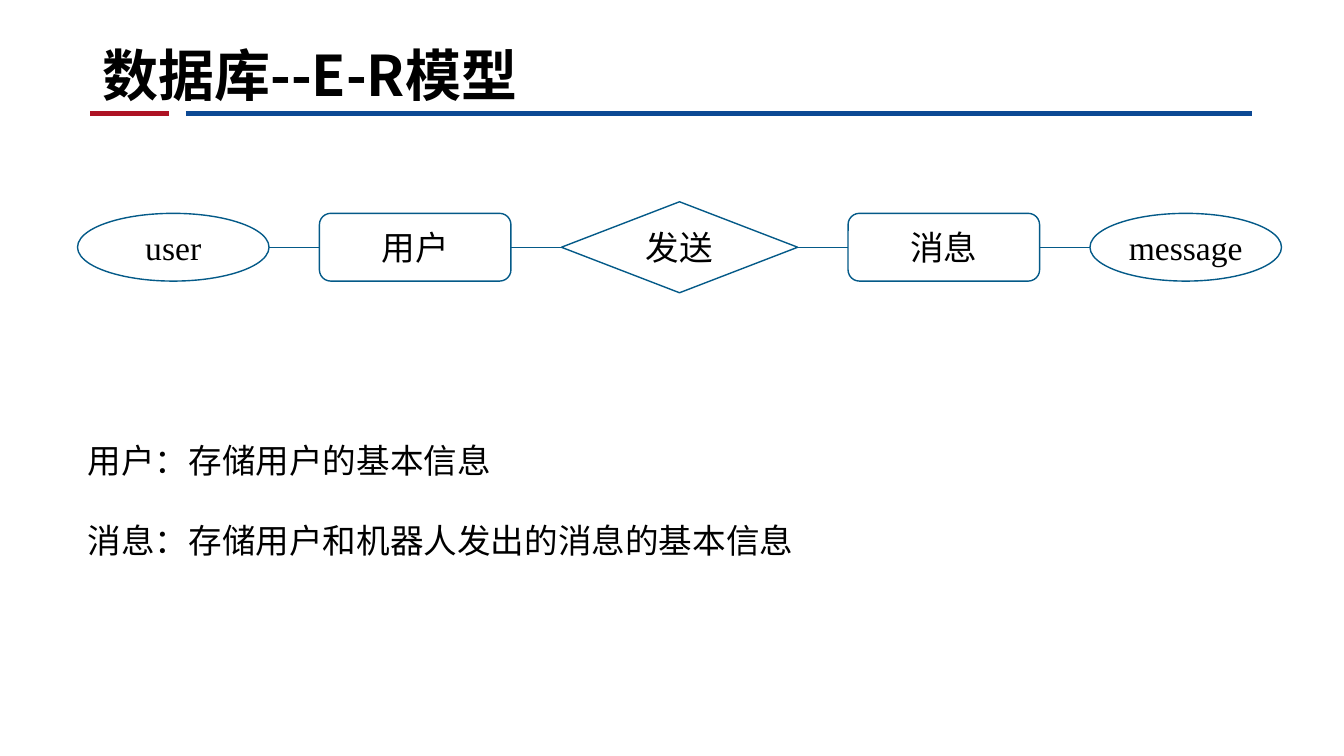
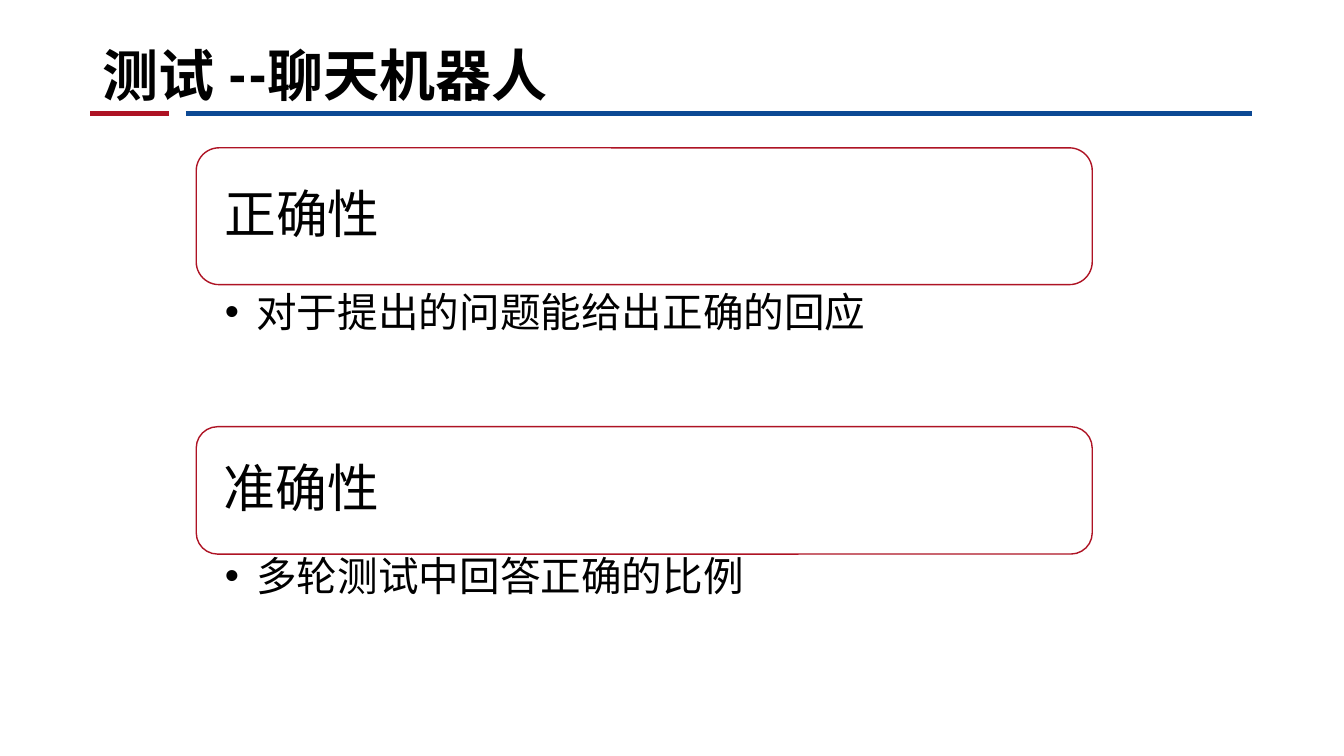
from dataclasses import dataclass
from itertools import pairwise
from typing import Any

from lxml.etree import SubElement
from pptx import Presentation
from pptx.dml.color import RGBColor
from pptx.enum.shapes import MSO_CONNECTOR, MSO_SHAPE
from pptx.enum.text import MSO_ANCHOR, MSO_AUTO_SIZE, PP_ALIGN
from pptx.oxml.ns import qn
from pptx.util import Pt


# Theme: colours, fonts and type sizes
@dataclass(frozen=True)
class Theme:
    red: RGBColor = RGBColor(0xAE, 0x13, 0x24)
    blue: RGBColor = RGBColor(0x0C, 0x49, 0x94)
    teal: RGBColor = RGBColor(0x04, 0x5A, 0x88)
    ink: RGBColor = RGBColor(0, 0, 0)
    paper: RGBColor = RGBColor(255, 255, 255)
    han: str = "Noto Sans CJK SC"
    serif: str = "Times New Roman"
    sans: str = "Arial"
    slim: str = "Roboto Condensed"
    title: float = 40
    head: float = 37
    item: float = 29
    note: float = 24


THEME = Theme()


@dataclass(frozen=True)
class Box:
    left: float
    top: float
    width: float
    height: float


@dataclass(frozen=True)
class Bar:
    start: float
    end: float
    color: RGBColor


@dataclass(frozen=True)
class Node:
    text: str
    kind: MSO_SHAPE
    width: float = 136.8
    height: float = 48.4


@dataclass(frozen=True)
class Card:
    head: str
    item: str
    frame: Box
    body: Box


TITLE = Box(66.2, 0, 828, 80.9)
BAR_Y = 80.9
BARS = (Bar(64.4, 120.6, THEME.red), Bar(132.8, 894.2, THEME.blue))

CHAIN = (
    Node("user", MSO_SHAPE.OVAL),
    Node("用户", MSO_SHAPE.ROUNDED_RECTANGLE),
    Node("发送", MSO_SHAPE.FLOWCHART_DECISION, 168.8, 65),
    Node("消息", MSO_SHAPE.ROUNDED_RECTANGLE),
    Node("message", MSO_SHAPE.OVAL),
)
CHAIN_X, CHAIN_Y, GAP = 55.4, 176.6, 36

NOTES = ("用户：存储用户的基本信息", "消息：存储用户和机器人发出的消息的基本信息")
NOTE_BOX = Box(55.4, 281.5, 523.4, 113)

CARD_X, CARD_W = 140.2, 640
CARDS = (
    Card("正确性", "对于提出的问题能给出正确的回应",
         Box(CARD_X, 105.6, CARD_W, 97.7), Box(CARD_X, 205.2, CARD_W, 90)),
    Card("准确性", "多轮测试中回答正确的比例",
         Box(CARD_X, 304.8, CARD_W, 91), Box(CARD_X, 393.8, CARD_W, 81.4)),
)


# Shared helpers
def place(shape: Any, box: Box) -> None:
    shape.left, shape.top = Pt(box.left), Pt(box.top)
    shape.width, shape.height = Pt(box.width), Pt(box.height)


def style(para: Any, face: str, size: float, bold: bool = False) -> None:
    para.space_before = Pt(0)
    for run in para.runs:
        font = run.font
        font.name, font.size, font.bold = face, Pt(size), bold
        font.color.rgb = THEME.ink
        han = SubElement(run._r.get_or_add_rPr(), qn("a:ea"))
        han.set("typeface", THEME.han)


def bullet(para: Any, mark: str = "", indent: float = 0) -> None:
    props = para._p.get_or_add_pPr()
    props.set("marL", str(Pt(indent)))
    props.set("indent", str(-Pt(indent)))
    if mark:
        SubElement(props, qn("a:buChar")).set("char", mark)
    else:
        SubElement(props, qn("a:buNone"))


def line(slide: Any, start: float, end: float, y: float,
         color: RGBColor, weight: float) -> Any:
    link = slide.shapes.add_connector(
        MSO_CONNECTOR.STRAIGHT, Pt(start), Pt(y), Pt(end), Pt(y))
    link.line.color.rgb, link.line.width = color, Pt(weight)
    SubElement(link.element.spPr, qn("a:effectLst"))
    return link


def panel(slide: Any, kind: MSO_SHAPE, box: Box, color: RGBColor,
          text: str, size: float, face: str) -> Any:
    shape = slide.shapes.add_shape(
        kind, Pt(box.left), Pt(box.top), Pt(box.width), Pt(box.height))
    shape.shadow.inherit = False
    shape.fill.solid()
    shape.fill.fore_color.rgb = THEME.paper
    shape.line.color.rgb, shape.line.width = color, Pt(1)
    frame = shape.text_frame
    frame.text, frame.vertical_anchor = text, MSO_ANCHOR.MIDDLE
    style(frame.paragraphs[0], face, size)
    return shape


def start(deck: Any, layout: int, text: str, face: str) -> Any:
    slide = deck.slides.add_slide(deck.slide_layouts[layout])
    title = slide.shapes.title
    place(title, TITLE)
    frame = title.text_frame
    frame.text, frame.vertical_anchor = text, MSO_ANCHOR.BOTTOM
    frame.auto_size = MSO_AUTO_SIZE.NONE
    para = frame.paragraphs[0]
    para.alignment = PP_ALIGN.LEFT
    style(para, face, THEME.title, True)
    return slide


def rule(deck: Any, slide: Any) -> None:
    """Draw the title bars and move them to the master."""
    tree = deck.slide_master.shapes.element
    for key, bar in enumerate(BARS, 100):
        link = line(slide, bar.start, bar.end, BAR_Y, bar.color, 3.5)
        link.element.nvCxnSpPr.cNvPr.set("id", str(key))
        tree.append(link.element)


# Slide 1: entity chain and notes
def model(deck: Any) -> Any:
    slide = start(deck, 1, "数据库--E-R模型", THEME.han)
    left, spans = CHAIN_X, []
    for node in CHAIN:
        box = Box(left, CHAIN_Y - node.height / 2, node.width, node.height)
        shape = panel(slide, node.kind, box, THEME.teal,
                      node.text, THEME.note, THEME.serif)
        shape.text_frame.word_wrap = False
        shape.text_frame.paragraphs[0].alignment = PP_ALIGN.CENTER
        spans.append((left, left + node.width))
        left += node.width + GAP
    for (_, end), (begin, _) in pairwise(spans):
        line(slide, end, begin, CHAIN_Y, THEME.teal, 0.5)

    body = slide.placeholders[1]
    place(body, NOTE_BOX)
    frame = body.text_frame
    frame.text = "\n".join(NOTES)
    frame.word_wrap, frame.auto_size = False, MSO_AUTO_SIZE.NONE
    for para in frame.paragraphs:
        bullet(para)
        para.line_spacing = 2.0
        style(para, THEME.han, THEME.note)
    return slide


# Slide 2: test criteria
def tests(deck: Any) -> None:
    slide = start(deck, 3, "测试 --聊天机器人", THEME.slim)
    for key, card in enumerate(CARDS, 1):
        shape = panel(slide, MSO_SHAPE.ROUNDED_RECTANGLE, card.frame,
                      THEME.red, card.head, THEME.head, THEME.sans)
        frame = shape.text_frame
        frame.margin_left = frame.margin_right = Pt(15.4)
        frame.paragraphs[0].alignment = PP_ALIGN.LEFT
        frame.paragraphs[0].line_spacing = 0.9

        body = slide.placeholders[key]
        place(body, card.body)
        frame = body.text_frame
        frame.text, frame.auto_size = card.item, MSO_AUTO_SIZE.NONE
        frame.margin_left = frame.margin_right = Pt(20.4)
        para = frame.paragraphs[0]
        bullet(para, "•", 22.5)
        para.line_spacing = 0.9
        style(para, THEME.sans, THEME.item)


def main() -> None:
    deck = Presentation()
    deck.slide_width, deck.slide_height = Pt(960), Pt(540)
    rule(deck, model(deck))
    tests(deck)
    deck.save("out.pptx")


if __name__ == "__main__":
    main()
